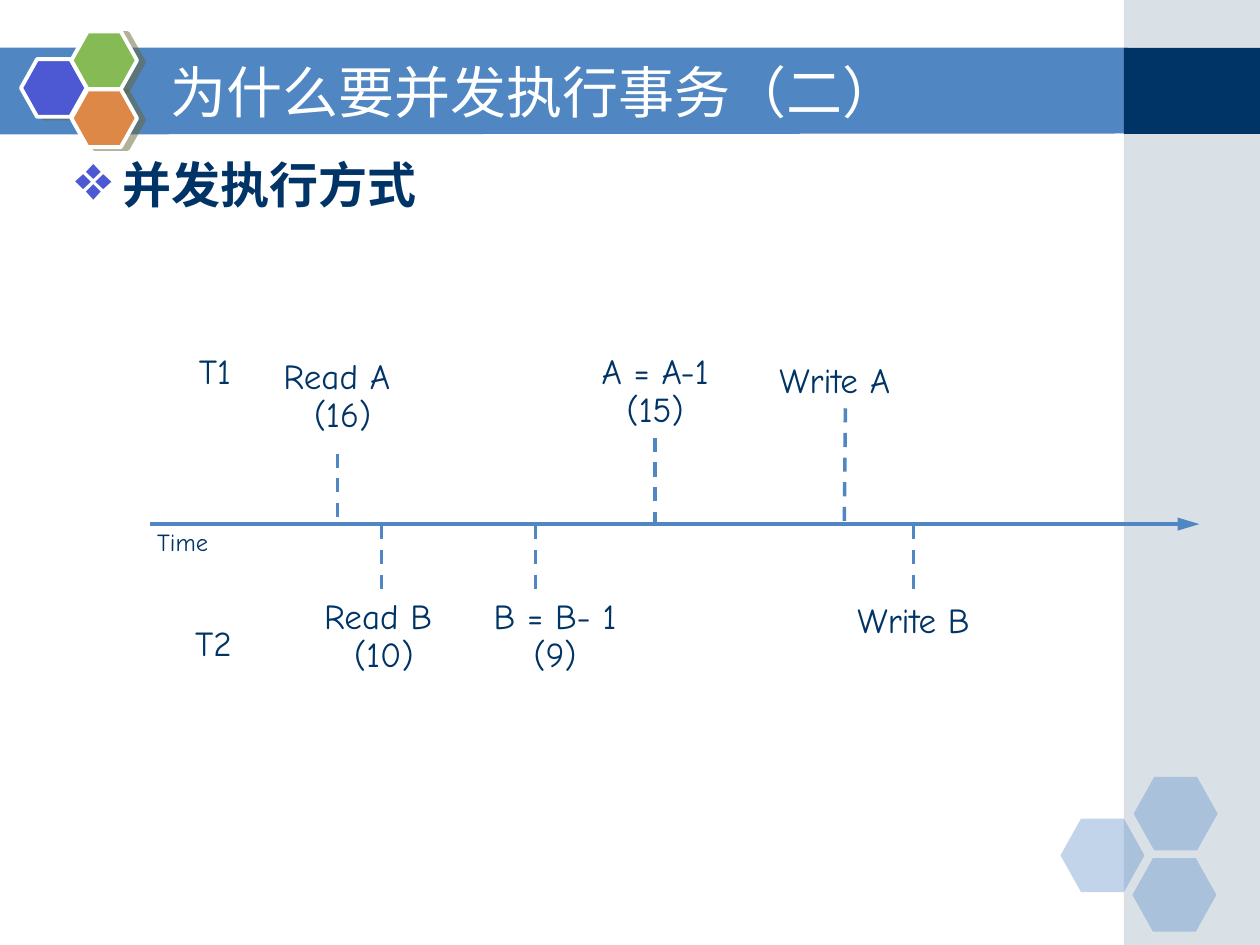
from lxml import etree
from pptx import Presentation
from pptx import util as u
from pptx.dml.color import RGBColor
from pptx.enum import dml, shapes, text
from pptx.oxml.ns import qn

Pt = u.Pt
BLUE = RGBColor(0x50, 0x86, 0xC2)
NAVY = RGBColor(0x00, 0x33, 0x66)
MIST = RGBColor(0xA0, 0xB5, 0xC4)
VIOLET = RGBColor(0x4C, 0x59, 0xD2)
GREEN = RGBColor(0x85, 0xBA, 0x54)
ORANGE = RGBColor(0xDE, 0x88, 0x48)
OLIVE = RGBColor(0x66, 0x66, 0x33)
WHITE = RGBColor(0xFF, 0xFF, 0xFF)
HAND_FONT = "Comic Neue"
HEAD_FONT = "DejaVu Sans"


def add_node(parent, tag, **attributes):
    return etree.SubElement(parent, qn(tag), attributes)


def add_filled(slide, kind, left, top, width, height, color, opacity=100):
    shape = slide.shapes.add_shape(kind, Pt(left), Pt(top), Pt(width), Pt(height))
    shape.shadow.inherit = False
    shape.fill.solid()
    shape.fill.fore_color.rgb = color
    shape.line.fill.background()
    if opacity < 100:
        fill_color = shape._element.spPr.find(qn("a:solidFill"))[0]
        add_node(fill_color, "a:alpha", val=str(opacity * 1000))
    return shape


def add_hexagon(slide, left, top, width, height, color, opacity=100):
    hexagon = add_filled(slide, shapes.MSO_SHAPE.HEXAGON, left, top, width, height, color, opacity)
    hexagon.adjustments[0] = 0.28
    return hexagon


def add_text(slide, left, top, width, height, words, size, color, font, wrap=True):
    box = slide.shapes.add_textbox(Pt(left), Pt(top), Pt(width), Pt(height))
    frame = box.text_frame
    frame.word_wrap = wrap
    frame.text = words
    for paragraph in frame.paragraphs:
        paragraph.font.size = Pt(size)
        paragraph.font.name = font
        paragraph.font.color.rgb = color
    return frame


def add_line(slide, start, end, width):
    line = slide.shapes.add_connector(shapes.MSO_CONNECTOR.STRAIGHT, *map(Pt, start + end))
    line.line.color.rgb = BLUE
    line.line.width = Pt(width)
    add_node(line._element.spPr, "a:effectLst")
    return line


def add_header_band(slide, left, top, width, height):
    band = slide.shapes.build_freeform(Pt(left), Pt(top))
    band.add_line_segments([
        (Pt(left + width), Pt(top)),
        (Pt(left + width), Pt(top + height - 0.5)),
        (Pt(left), Pt(top + height)),
    ], close=True)
    shape = band.convert_to_shape()
    shape.shadow.inherit = False
    shape.fill.solid()
    shape.fill.fore_color.rgb = BLUE
    shape.line.fill.background()


def add_side_panel(slide, left, top, width, height):
    add_filled(slide, shapes.MSO_SHAPE.RECTANGLE, left, top, width, height, MIST, 40)
    add_filled(slide, shapes.MSO_SHAPE.RECTANGLE, left, top + 27.3, width, 49.3, NAVY)


def add_corner_hexagons(slide, left, top):
    for x, y in [(0, 23.8), (41.8, 0), (41.1, 46.4)]:
        add_hexagon(slide, left + x, top + y, 48, 42, BLUE, 35)


def add_emblem(slide, left, top):
    for x, y, color in [(0, 15.8, VIOLET), (28.8, 0, GREEN), (28.8, 33.1, ORANGE)]:
        hexagon = add_hexagon(slide, left + x, top + y, 37.5, 33, color)
        hexagon.line.color.rgb = WHITE
        hexagon.line.width = Pt(2.25)
        effects = hexagon._element.spPr.find(qn("a:effectLst"))
        shadow = add_node(effects, "a:outerShdw", blurRad="0", dist=str(Pt(4.1)),
                          dir=str(14 * 60000), algn="ctr", rotWithShape="0")
        shade = add_node(shadow, "a:srgbClr", val=str(OLIVE))
        add_node(shade, "a:alpha", val="50000")


def add_title(slide, left, top, width, height):
    frame = add_text(slide, left, top, width, height, "为什么要并发执行事务（二）", 32, WHITE, HEAD_FONT)
    frame.vertical_anchor = text.MSO_ANCHOR.MIDDLE


def add_body(slide, left, top, width, height):
    frame = add_text(slide, left, top, width, height, "并发执行方式", 28, NAVY, HEAD_FONT)
    heading = frame.paragraphs[0]
    properties = heading._p.get_or_add_pPr()
    properties.set("marL", str(Pt(27)))
    properties.set("indent", str(Pt(-27)))
    bullet_color = etree.Element(qn("a:buClr"))
    add_node(bullet_color, "a:srgbClr", val=str(VIOLET))
    bullet_size = etree.Element(qn("a:buSzPct"), val="130000")
    bullet = etree.Element(qn("a:buChar"), char="❖")
    for position, part in enumerate([bullet_color, bullet_size, bullet]):
        properties.insert(position, part)
    heading.font.bold = True


def add_label(slide, center, top, words, size=20):
    lines = words.count("\n") + words.count("\v") + 1
    height = 7.2 + lines * size * 1.08
    width = 110
    frame = add_text(slide, center - width / 2, top, width, height, words, size, NAVY, HAND_FONT, wrap=False)
    frame.vertical_anchor = text.MSO_ANCHOR.MIDDLE
    for paragraph in frame.paragraphs:
        paragraph.alignment = text.PP_ALIGN.CENTER
        paragraph.line_spacing = 0.9


def add_timeline(slide, left, top, width):
    axis = top + 101.5
    add_label(slide, left + 40, top + 156.5, "T2")
    add_label(slide, left + 40.8, top + 0.7, "T1")
    arrow = add_line(slide, (left + 3.7, axis), (left + width, axis), 2.5)
    add_node(arrow.line._get_or_add_ln(), "a:tailEnd", type="triangle", w="med", len="lg")
    add_label(slide, left + 22.4, top + 101.2, "Time", 14)

    events = [
        ("Read B \v(10)", 137.4, 140.8, (136, 102.2), (136, 144.2)),
        ("Read A \v(16)", 113.8, 3.6, (111, 61.2), (111, 97.2)),
        ("B = B- 1\n(9)", 235.2, 141.1, (224, 102.2), (224, 144.2)),
        ("A = A-1\n(15)", 292.4, 0.7, (292.4, 52.2), (292.4, 100.1)),
        ("Write B", 440, 142.9, (440, 102.2), (440, 141.8)),
        ("Write A", 395, 5.8, (401.1, 35.3), (400.4, 103.7)),
    ]
    for words, center, label_top, start, end in events:
        add_label(slide, left + center, top + label_top, words)
        stem = add_line(slide, (left + start[0], top + start[1]), (left + end[0], top + end[1]), 2)
        stem.line.dash_style = dml.MSO_LINE.DASH


def main():
    deck = Presentation()
    deck.slide_width, deck.slide_height = Pt(720), Pt(540)
    slide = deck.slides.add_slide(deck.slide_layouts[6])
    add_header_band(slide, -0.5, 27.2, 645, 49.6)
    add_side_panel(slide, 642.2, 0, 77.8, 540)
    add_corner_hexagons(slide, 606, 444)
    add_emblem(slide, 12, 18)
    add_title(slide, 90.3, 29.8, 528, 44.6)
    add_body(slide, 36, 85, 648, 413)
    add_timeline(slide, 82, 198, 603.4)
    deck.save("out.pptx")


if __name__ == "__main__":
    main()
